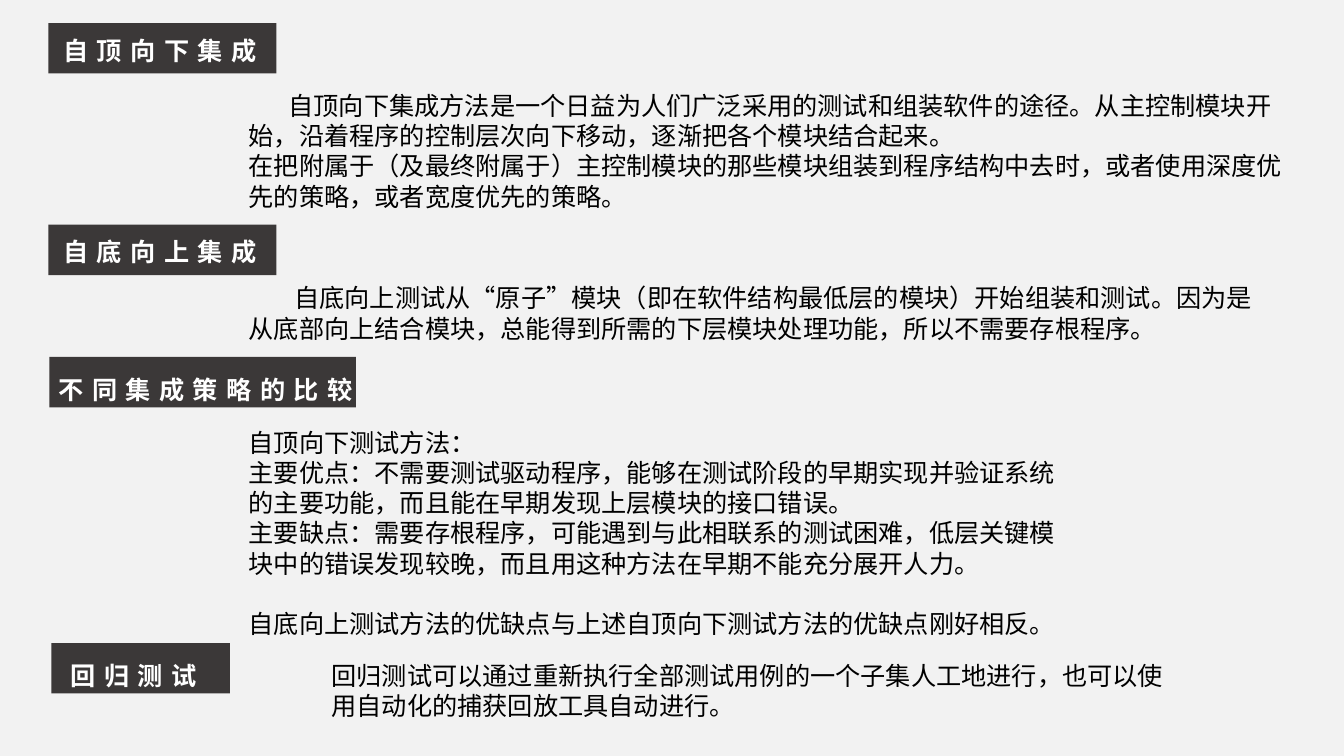
from lxml import etree
from pptx import Presentation
from pptx.dml.color import RGBColor
from pptx.enum.shapes import MSO_SHAPE
from pptx.enum.text import MSO_ANCHOR, PP_ALIGN
from pptx.oxml.ns import qn
from pptx.util import Pt

RECT, TOP, LEFT = MSO_SHAPE.RECTANGLE, MSO_ANCHOR.TOP, PP_ALIGN.LEFT
PAPER = RGBColor(0xF2, 0xF2, 0xF2)
CHARCOAL = RGBColor(0x3B, 0x38, 0x38)
BLACK = RGBColor(0, 0, 0)
WHITE = RGBColor(255, 255, 255)
FONT = "Noto Sans CJK SC"
LINE = 21.6
TAG_H = 36

# Headings: text, left, top, width, left inset, top inset
HEADINGS = [
    ("自顶向下集成", 34.5, 16.5, 163, 10.8, 9),
    ("自底向上集成", 34.5, 160.5, 163, 10.8, 8.5),
    ("不同集成策略的比较", 35.3, 255, 219, 6.5, 12.5),
    ("回归测试", 36.7, 459.4, 127.5, 13.7, 12),
]

# Bodies: left, top, width, height, paragraphs (text, first-line indent, space before)
BODIES = [
    (170.6, 59, 753, 94, [
        ("自顶向下集成方法是一个日益为人们广泛采用的测试和组装软件的途径。从主控制模块开始，"
         "沿着程序的控制层次向下移动，逐渐把各个模块结合起来。", 28.5, 0),
        ("在把附属于（及最终附属于）主控制模块的那些模块组装到程序结构中去时，"
         "或者使用深度优先的策略，或者宽度优先的策略。", 0, 0),
    ]),
    (170.6, 196.5, 736, 73, [
        ("自底向上测试从“原子”模块（即在软件结构最低层的模块）开始组装和测试。因为是"
         "从底部向上结合模块，总能得到所需的下层模块处理功能，所以不需要存根程序。", 32.5, 0),
    ]),
    (170.6, 299.5, 607, 160, [
        ("自顶向下测试方法：", 0, 0),
        ("主要优点：不需要测试驱动程序，能够在测试阶段的早期实现并验证系统的主要功能，"
         "而且能在早期发现上层模块的接口错误。", 0, 0),
        ("主要缺点：需要存根程序，可能遇到与此相联系的测试困难，低层关键模块中的错误发现较晚，"
         "而且用这种方法在早期不能充分展开人力。", 0, 0),
        ("自底向上测试方法的优缺点与上述自顶向下测试方法的优缺点刚好相反。", 0, LINE),
    ]),
    (229.7, 466, 619, 51, [
        ("回归测试可以通过重新执行全部测试用例的一个子集人工地进行，"
         "也可以使用自动化的捕获回放工具自动进行。", 0, 0),
    ]),
]


def set_all(obj, values):
    for name, value in values.items():
        setattr(obj, name, value)


def write(p, text, color, bold=False, spacing=0):
    set_all(p, {"alignment": LEFT, "line_spacing": Pt(LINE)})
    r = p.add_run()
    r.text = text
    set_all(r.font, {"name": FONT, "size": Pt(18), "bold": bold})
    r.font.color.rgb = color
    rPr = r.font._element
    etree.SubElement(rPr, qn("a:ea")).set("typeface", FONT)
    if spacing:
        rPr.set("spc", str(spacing * 100))


prs = Presentation()
set_all(prs, {"slide_width": Pt(960), "slide_height": Pt(540)})
s = prs.slides.add_slide(prs.slide_layouts[6])
s.background.fill.solid()
s.background.fill.fore_color.rgb = PAPER

# Heading tags
for text, x, y, w, inset_x, inset_y in HEADINGS:
    sp = s.shapes.add_shape(RECT, Pt(x), Pt(y), Pt(w), Pt(TAG_H))
    sp.shadow.inherit = False
    sp.fill.solid()
    sp.fill.fore_color.rgb = CHARCOAL
    sp.line.fill.background()
    tf = sp.text_frame
    set_all(tf, {"word_wrap": False, "vertical_anchor": TOP,
                 "margin_left": Pt(inset_x), "margin_top": Pt(inset_y),
                 "margin_right": 0, "margin_bottom": 0})
    write(tf.paragraphs[0], text, WHITE, True, 6)

# Body text
for x, y, w, h, paragraphs in BODIES:
    tf = s.shapes.add_textbox(Pt(x), Pt(y), Pt(w), Pt(h)).text_frame
    set_all(tf, {"word_wrap": True, "margin_top": Pt(5.5)})
    for i, (text, indent, before) in enumerate(paragraphs):
        p = tf.add_paragraph() if i else tf.paragraphs[0]
        if indent:
            p._p.get_or_add_pPr().set("indent", str(Pt(indent)))
        if before:
            p.space_before = Pt(before)
        write(p, text, BLACK)

prs.save("out.pptx")
